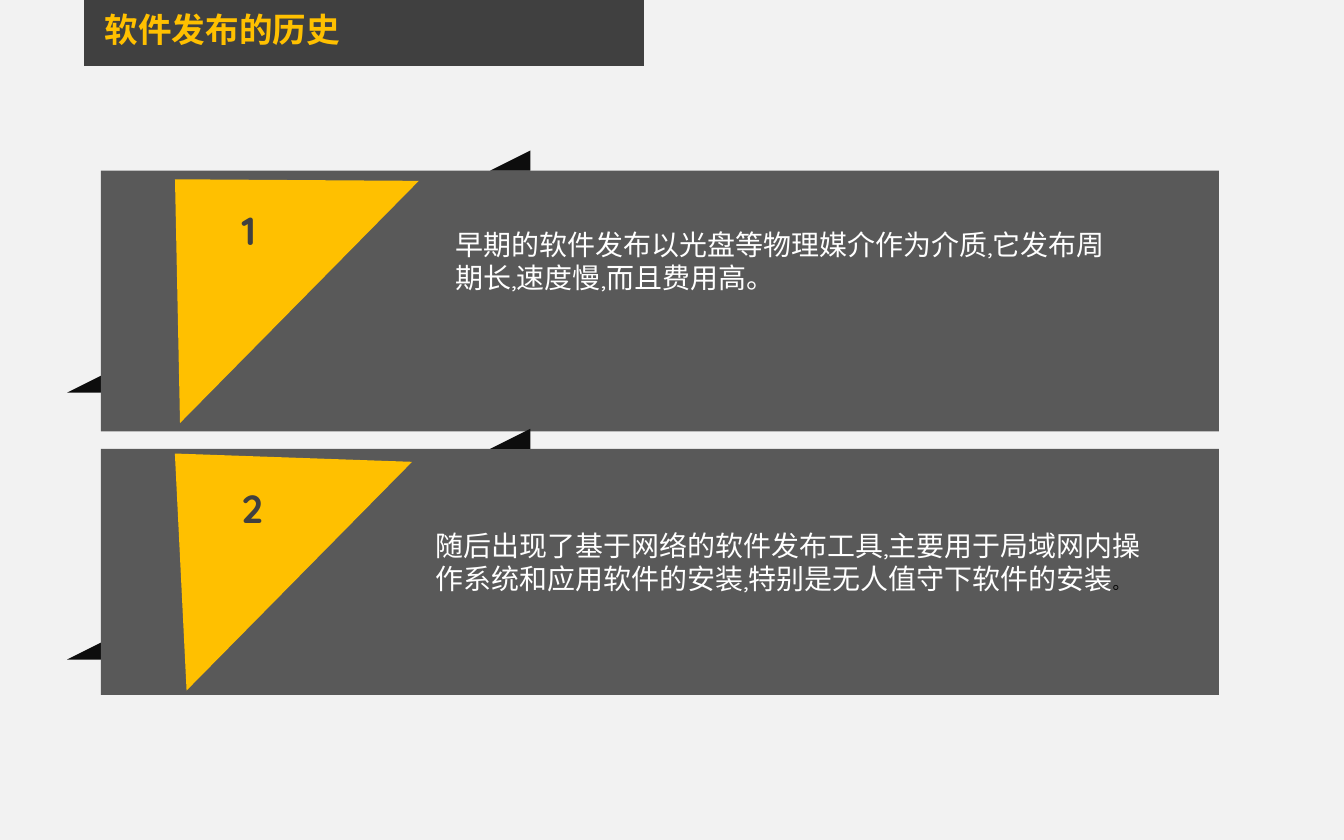
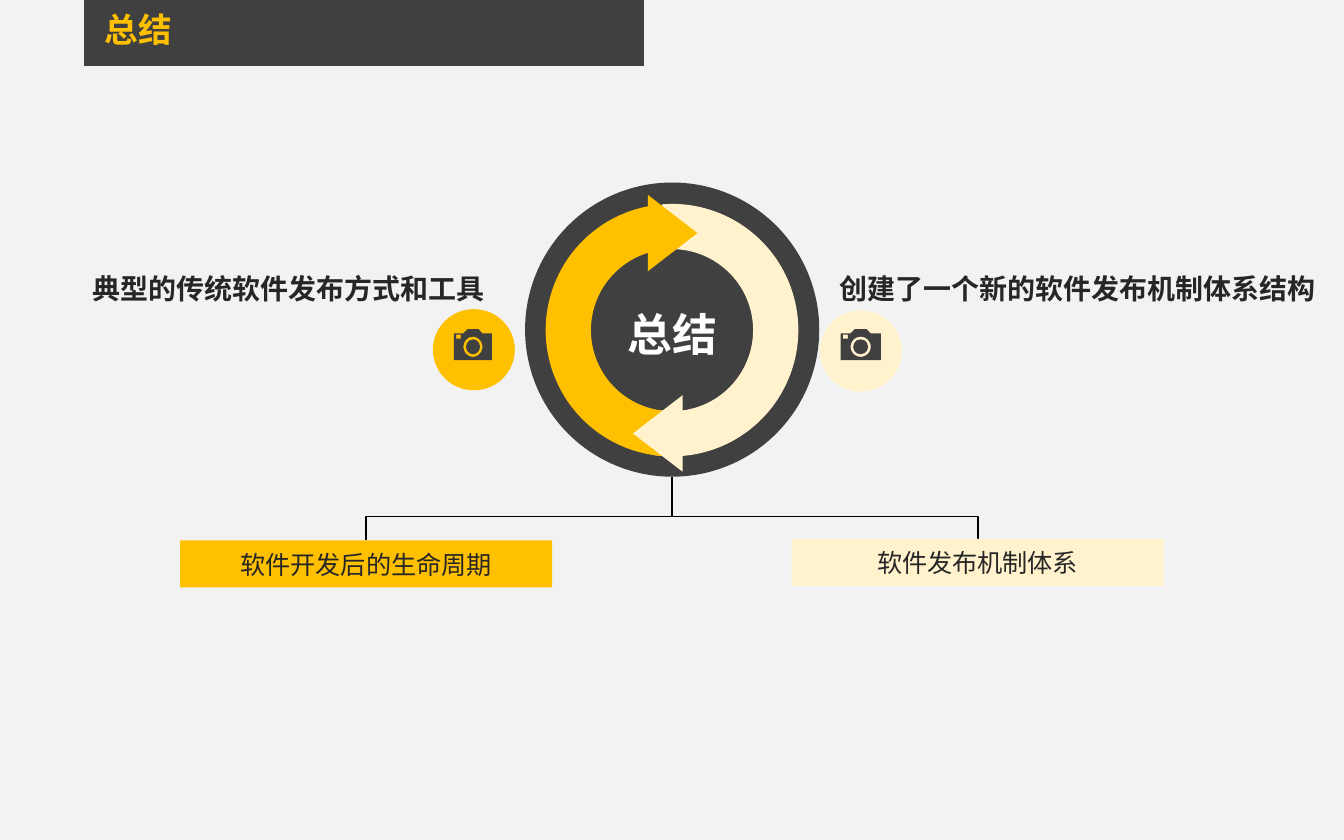
from math import cos, sin, tau

from lxml import etree
from pptx import Presentation
from pptx.dml.color import RGBColor
from pptx.enum.shapes import MSO_CONNECTOR as Link, MSO_SHAPE as Shape
from pptx.enum.text import MSO_ANCHOR as Anchor, MSO_AUTO_SIZE as AutoSize, PP_ALIGN as Align
from pptx.oxml.ns import qn
from pptx.util import Pt

FONT = "Quicksand"
COLORS = {
    "page": "F2F2F2", "dark": "404040", "panel": "595959", "fold": "0D0D0D",
    "gold": "FFC000", "cream": "FFF2CC", "ink": "262626", "white": "FFFFFF", "black": "000000",
}

HISTORY_TITLE = "软件发布的历史"
HISTORY = [
    {
        "panel": (91.4, 139.8), "wedge": (36, 82.1, 182.2, 93.6), "fold_top": 199.5,
        "text_box": (236.9, 118.1, 370.8, 43.9),
        "text": [("早期的软件发布以光盘等物理媒介作为介质,它发布周期长,速度慢,而且费用高。", 15, "white")],
    },
    {
        "panel": (240.5, 131.8), "wedge": (41, 229, 172.1, 93.6), "fold_top": 342.5,
        "text_box": (226.1, 279.4, 402.5, 43.9),
        "text": [
            ("随后出现了基于网络的软件发布工具,主要用于局域网内操作系统和应用软件的安装,"
             "特别是无人值守下软件的安装", 15, "white"),
            ("。", 9, "black"),
        ],
    },
]

SUMMARY_TITLE = "总结"
POINTS = [
    {"text": "创建了一个新的软件发布机制体系结构", "box": (435.6, 141.8, 283, 25.2), "wrap": True,
     "disc": (439.2, 166.3), "color": "cream", "camera": (461.1, 176.4, 1)},
    {"text": "典型的传统软件发布方式和工具", "box": (41, 141.8, 226.8, 25.2), "wrap": False,
     "disc": (231.9, 165.6), "color": "gold", "camera": (253.4, 176.4, 0.94)},
]
RESULTS = [
    {"text": "软件开发后的生命周期", "left": 96.5, "top": 289.5, "color": "gold"},
    {"text": "软件发布机制体系", "left": 424.1, "top": 288.75, "color": "cream"},
]
RESULT_WIDTH, RESULT_HEIGHT = 199.4, 25.2
RING_ARCS = [("cream", 120, (87.1, 203.86)), ("gold", 0, (55.9, 158.41))]
RING_HEADS = [("gold", 339.8, 111.6, 90), ("cream", 331.9, 218.9, 270)]


def rgb(color):
    return RGBColor.from_string(COLORS[color])


def paint(shape, color):
    shape.shadow.inherit = False
    shape.fill.solid()
    shape.fill.fore_color.rgb = rgb(color)
    shape.line.fill.background()
    return shape


def add_filled(slide, kind, box, color, rotation=0, adjust=()):
    shape = slide.shapes.add_shape(kind, *map(Pt, box))
    shape.rotation = rotation
    for index, value in enumerate(adjust):
        shape.adjustments[index] = value
    return paint(shape, color)


def style_run(run, size, color, bold=False):
    run.font.name, run.font.size, run.font.bold = FONT, Pt(size), bold
    run.font.color.rgb = rgb(color)


def add_text(slide, box, pieces, bold=False, align=Align.LEFT, wrap=True):
    """Place one paragraph made of (text, size, color) pieces."""
    frame = slide.shapes.add_textbox(*map(Pt, box)).text_frame
    frame.word_wrap = wrap
    frame.auto_size = AutoSize.SHAPE_TO_FIT_TEXT
    paragraph = frame.paragraphs[0]
    paragraph.alignment = align
    for text, size, color in pieces:
        run = paragraph.add_run()
        run.text = text
        style_run(run, size, color, bold)
    return frame


def add_line(slide, kind, start, end):
    line = slide.shapes.add_connector(kind, *map(Pt, start + end))
    line.line.width = Pt(1)
    line.line.color.rgb = rgb("black")
    etree.SubElement(line.element.spPr, qn("a:effectLst"))
    return line


def add_bracket(slide, start, end, rise):
    """Join two points by an elbow that runs level, rise points above the start."""
    (x1, y1), (x2, y2) = start, end
    mid_x, mid_y = (x1 + x2) / 2, (y1 + y2) / 2
    half_span, half_drop = (x2 - x1) / 2, (y1 - y2) / 2
    line = add_line(slide, Link.ELBOW, (mid_x + half_drop, mid_y + half_span),
                    (mid_x - half_drop, mid_y - half_span))
    properties = line.element.spPr
    properties.find(qn("a:xfrm")).set("rot", str(90 * 60000))
    guides = properties.find(qn("a:prstGeom")).find(qn("a:avLst"))
    bend = round(rise / (y1 - y2) * 100000)
    etree.SubElement(guides, qn("a:gd"), name="adj1", fmla=f"val {bend}")


def add_camera(slide, center, top, stretch):
    lens_y, lens_radius, glass_radius = 9.4, 5.4, 4
    body = [(-10.8, 2.2), (-5.4, 2.2), (-3.2, 0), (3.2, 0), (5.4, 2.2), (10.8, 2.2),
            (10.8, 16.6), (-10.8, 16.6)]
    window = [(-9.6, 2.9), (-9.6, 5), (-6.8, 5), (-6.8, 2.9)]
    lens = [(lens_radius * cos(tau * step / 36), lens_y - lens_radius * sin(tau * step / 36))
            for step in range(36)]
    outlines = [[(Pt(center + x * stretch), Pt(top + y)) for x, y in outline]
                for outline in (body, window, lens)]
    builder = slide.shapes.build_freeform(*outlines[0][0])
    for index, outline in enumerate(outlines):
        if index:
            builder.move_to(*outline[0])
        builder.add_line_segments(outline[1:], close=True)
    paint(builder.convert_to_shape(), "dark")
    glass = glass_radius * stretch
    add_filled(slide, Shape.OVAL, (center - glass, top + lens_y - glass_radius,
                                   2 * glass, 2 * glass_radius), "dark")


def add_page(deck, title):
    slide = deck.slides.add_slide(deck.slide_layouts[6])
    slide.background.fill.solid()
    slide.background.fill.fore_color.rgb = rgb("page")
    add_filled(slide, Shape.RECTANGLE, (45, 0, 300, 35.3), "dark")
    frame = add_text(slide, (49, 3.6, 202.3, 30.2), [(title, 18, "gold")], bold=True)
    frame.auto_size = AutoSize.NONE
    frame.paragraphs[0].line_spacing = 0.9
    return slide


def build_history(deck):
    slide = add_page(deck, HISTORY_TITLE)
    fold_width, fold_height = 21.6, 10.8
    for number, stage in enumerate(HISTORY, 1):
        top, height = stage["panel"]
        add_filled(slide, Shape.ISOSCELES_TRIANGLE,
                   (36, stage["fold_top"], fold_width, fold_height), "fold", adjust=[1])
        add_filled(slide, Shape.RECTANGLE, (54, top, 599, height), "panel")
        add_filled(slide, Shape.TRAPEZOID, stage["wedge"], "gold", 314.6, [1])
        add_filled(slide, Shape.ISOSCELES_TRIANGLE,
                   (262.6, top - fold_height, fold_width, fold_height), "fold", adjust=[1])
        add_text(slide, (122.4, top + 15.5, 25.9, 32.4), [(str(number), 21, "dark")],
                 bold=True, wrap=False)
        add_text(slide, stage["text_box"], stage["text"])


def build_summary(deck):
    slide = add_page(deck, SUMMARY_TITLE)
    feet = [(result["left"] + RESULT_WIDTH / 2, result["top"]) for result in RESULTS]
    add_bracket(slide, *feet, rise=13)
    add_line(slide, Link.STRAIGHT, (360, 255.5), (360, 276.5))

    add_filled(slide, Shape.OVAL, (281.3, 97.8, 157.6, 157.6), "dark")
    for color, rotation, angles in RING_ARCS:
        arc = add_filled(slide, Shape.ARC, (304.5, 121.4, 111, 111), color, rotation, angles)
        arc.fill.background()
        arc.line.color.rgb = rgb(color)
        arc.line.width = Pt(24.25)
    for color, left, top, rotation in RING_HEADS:
        add_filled(slide, Shape.ISOSCELES_TRIANGLE, (left, top, 41, 26.6), color, rotation)
    add_text(slide, (329.2, 160.6, 63.4, 36), [(SUMMARY_TITLE, 24, "white")],
             bold=True, wrap=False)

    for point in POINTS:
        add_filled(slide, Shape.OVAL, (*point["disc"], 43.9, 43.5), point["color"])
        add_camera(slide, *point["camera"])
        add_text(slide, point["box"], [(point["text"], 15, "ink")], bold=True,
                 align=Align.CENTER, wrap=point["wrap"])

    for result in RESULTS:
        box = (result["left"], result["top"], RESULT_WIDTH, RESULT_HEIGHT)
        frame = add_filled(slide, Shape.RECTANGLE, box, result["color"]).text_frame
        frame.text = result["text"]
        frame.vertical_anchor = Anchor.MIDDLE
        frame.paragraphs[0].alignment = Align.CENTER
        style_run(frame.paragraphs[0].runs[0], 13.5, "ink")


def main():
    deck = Presentation()
    deck.slide_width, deck.slide_height = Pt(720), Pt(450)
    build_history(deck)
    build_summary(deck)
    deck.save("out.pptx")


if __name__ == "__main__":
    main()
